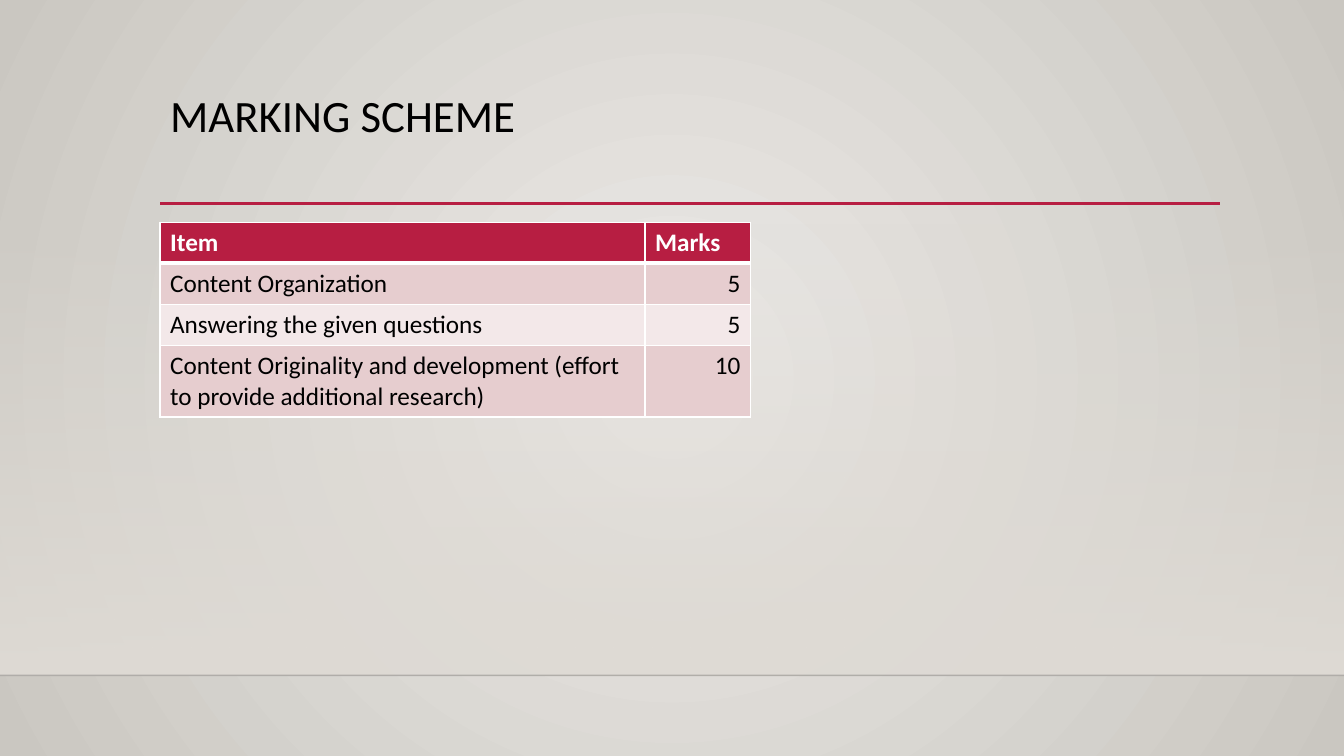
import dataclasses

import lxml.etree
import pptx
import pptx.dml.color
import pptx.enum.shapes
import pptx.enum.text
import pptx.oxml
import pptx.oxml.ns
import pptx.util

rgb = pptx.dml.color.RGBColor.from_string
qn = pptx.oxml.ns.qn


@dataclasses.dataclass
class Theme:
    font: str = "Calibri"
    title_size: int = 32
    table_size: int = 18
    ink: str = "000000"
    white: str = "FFFFFF"
    accent: str = "B71E42"
    bands: tuple = ("E6CDCF", "F3E8E9")
    backdrop: tuple = ("ECEAE7", "CAC7C1")
    floor: str = "DFDBD5"
    horizon: str = "000001"


theme = Theme()
deck = pptx.Presentation()
deck.slide_width = pptx.util.Inches(13.33)
deck.slide_height = pptx.util.Inches(7.5)
slide = deck.slides.add_slide(deck.slide_layouts[5])

# Grid: 100 columns by 100 rows
column, row = deck.slide_width / 100, deck.slide_height / 100
left, right = int(11.91 * column), int(90.75 * column)
horizon_y = int(89.33 * row)


def paint_gradient(fill, colors):
    fill.gradient()
    for stop, color, position in zip(fill.gradient_stops, colors, (0, 1)):
        stop.color.rgb = rgb(color)
        stop.position = position


def draw_rule(start, end, y, color, width):
    rule = slide.shapes.add_connector(
        pptx.enum.shapes.MSO_CONNECTOR.STRAIGHT, start, y, end, y)
    rule.line.color.rgb = rgb(color)
    rule.line.width = pptx.util.Pt(width)
    lxml.etree.SubElement(rule.element.spPr, qn("a:effectLst"))
    return rule


# Radial backdrop, light in the middle
paint_gradient(slide.background.fill, theme.backdrop)
backdrop = slide.element.find(".//" + qn("a:gradFill"))
backdrop.remove(backdrop.find(qn("a:lin")))
radial = lxml.etree.SubElement(backdrop, qn("a:path"), {"path": "circle"})
lxml.etree.SubElement(radial, qn("a:fillToRect"),
                      {side: "50000" for side in "ltrb"})

# Floor that fades in towards the horizon
floor_top = int(29.47 * row)
floor = slide.shapes.add_shape(
    pptx.enum.shapes.MSO_SHAPE.RECTANGLE,
    0, floor_top, deck.slide_width, horizon_y - floor_top)
floor.shadow.inherit = False
floor.line.fill.background()
paint_gradient(floor.fill, (theme.floor, theme.floor))
floor.fill.gradient_angle = 270
faded = floor.element.find(".//" + qn("a:srgbClr"))
lxml.etree.SubElement(faded, qn("a:alpha"), {"val": "0"})

# Horizon and title rule
horizon = draw_rule(0, deck.slide_width, horizon_y, theme.horizon, 1)
lxml.etree.SubElement(horizon.element.find(".//" + qn("a:srgbClr")),
                      qn("a:alpha"), {"val": "20000"})
draw_rule(left, right, int(26.93 * row), theme.accent, 2.5)

# Title
title = slide.shapes.title
title.left, title.top = left, int(11.73 * row)
title.width, title.height = right - left, int(15.33 * row)
title.text_frame.text = "MARKING SCHEME"
title.text_frame.word_wrap = True
title.text_frame.vertical_anchor = pptx.enum.text.MSO_ANCHOR.TOP
heading = title.text_frame.paragraphs[0]
heading.alignment = pptx.enum.text.PP_ALIGN.LEFT
heading.line_spacing = 0.9
heading.font.name = theme.font
heading.font.size = pptx.util.Pt(theme.title_size)
heading.font.color.rgb = rgb(theme.ink)

# Marking table
marks = [
    ("Item", "Marks"),
    ("Content Organization", "5"),
    ("Answering the given questions", "5"),
    ("Content Originality and development (effort to provide additional research)",
     "10"),
]
widths = [int(share * column) for share in (36.08, 7.84)]
heights = [int(share * row) for share in (5.43, 5.43, 5.43, 9.4)]
scheme = slide.shapes.add_table(
    len(marks), len(widths), left, int(29.4 * row),
    sum(widths), sum(heights)).table
for index, width in enumerate(widths):
    scheme.columns[index].width = width

for r, (entry, height) in enumerate(zip(marks, heights)):
    scheme.rows[r].height = height
    is_header = r == 0
    for c, words in enumerate(entry):
        cell = scheme.cell(r, c)
        cell.text = words
        line = cell.text_frame.paragraphs[0]
        if c == 1 and not is_header:
            line.alignment = pptx.enum.text.PP_ALIGN.RIGHT
        line.font.name = theme.font
        line.font.size = pptx.util.Pt(theme.table_size)
        line.font.bold = is_header
        line.font.color.rgb = rgb(theme.white if is_header else theme.ink)

        # White borders, thicker between header and body
        properties = cell._tc.get_or_add_tcPr()
        for side in ("lnL", "lnR", "lnT", "lnB"):
            thick = (r, side) in ((0, "lnB"), (1, "lnT"))
            border = lxml.etree.SubElement(
                properties, qn("a:" + side),
                {"w": str(pptx.util.Pt(3 if thick else 1))})
            paint = lxml.etree.SubElement(border, qn("a:solidFill"))
            lxml.etree.SubElement(paint, qn("a:srgbClr"), {"val": theme.white})
        cell.fill.solid()
        cell.fill.fore_color.rgb = rgb(
            theme.accent if is_header else theme.bands[(r - 1) % 2])

deck.save("out.pptx")
